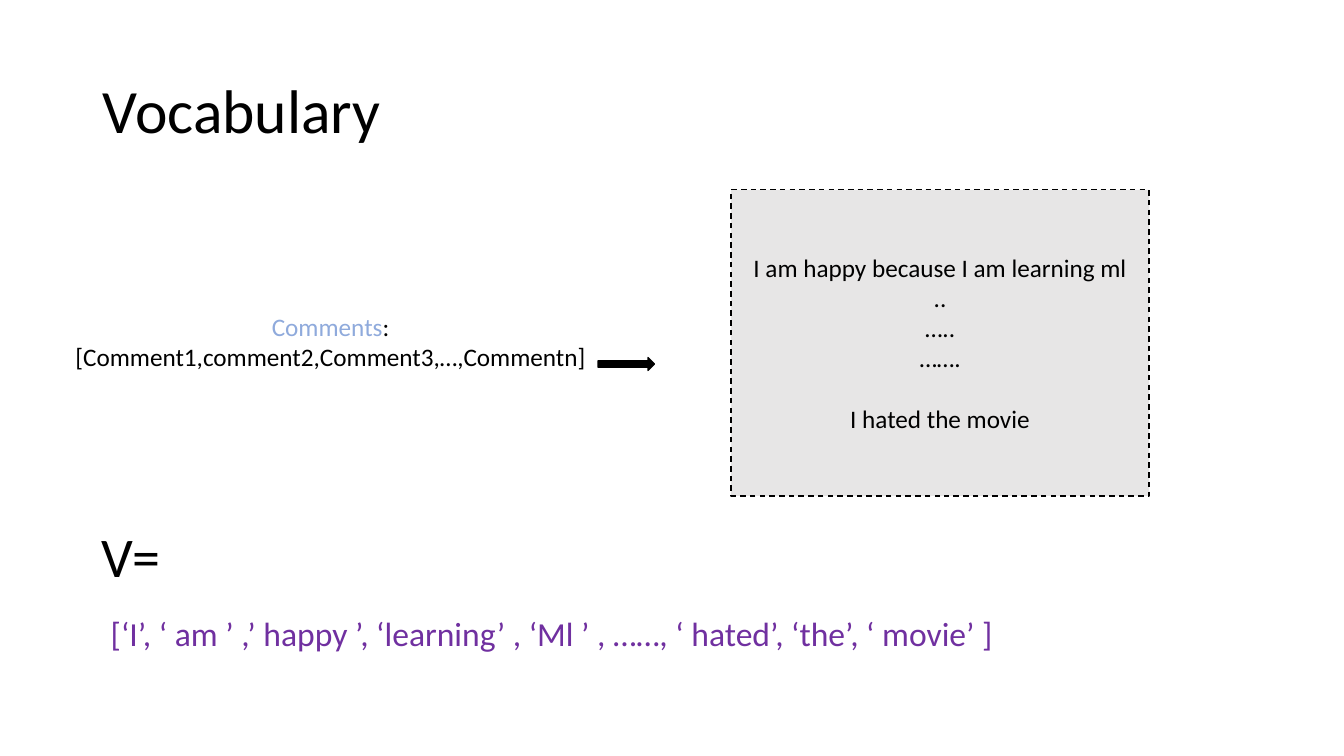
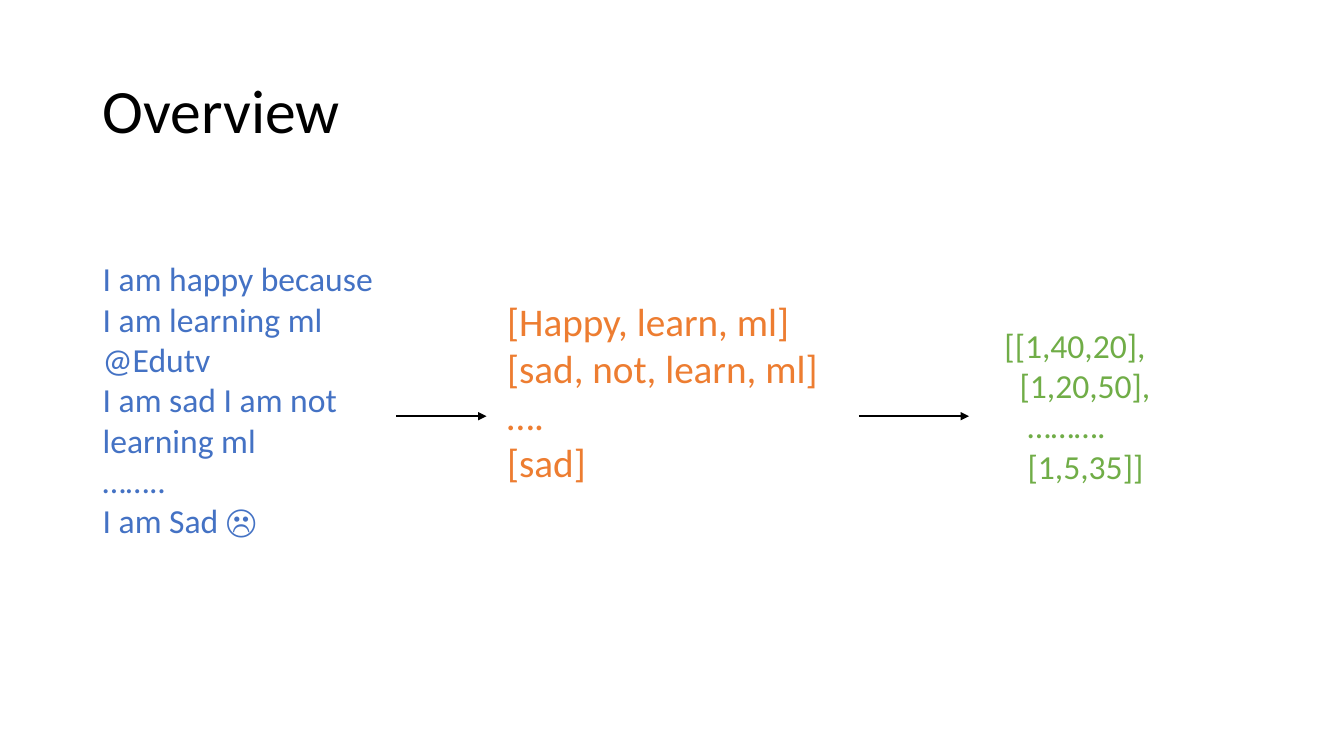
from dataclasses import dataclass

from lxml.etree import SubElement
from pptx import Presentation
from pptx.dml.color import RGBColor
from pptx.enum.dml import MSO_LINE
from pptx.enum.shapes import MSO_CONNECTOR, MSO_SHAPE
from pptx.enum.text import MSO_ANCHOR, MSO_AUTO_SIZE, PP_ALIGN
from pptx.oxml.ns import qn
from pptx.util import Inches, Pt

COLORS = {
    "ink": "000000", "panel": "E7E6E6", "label": "8FAADC", "vocabulary": "7030A0",
    "comments": "4472C4", "tokens": "ED7D31", "matrix": "70AD47",
}
FONT = "Calibri"
WIDTH, HEIGHT = Inches(13.333), Inches(7.5)


@dataclass(frozen=True)
class Box:
    """A rectangle in percent of the slide's width and height."""
    left: float
    top: float
    width: float
    height: float

    def lengths(self) -> tuple:
        return (across(self.left), down(self.top), across(self.width), down(self.height))


@dataclass(frozen=True)
class Line:
    """One paragraph: (text, colour) runs, left indent in inches, gap above in points."""
    runs: tuple
    indent: float = 0
    gap: float = 0


@dataclass(frozen=True)
class TextBlock:
    box: Box
    size: int
    lines: tuple
    centred: bool = False


def across(percent: float) -> int:
    return round(WIDTH * percent / 100)


def down(percent: float) -> int:
    return round(HEIGHT * percent / 100)


def rgb(name: str) -> RGBColor:
    return RGBColor.from_string(COLORS[name])


def plain(color: str, *texts: str) -> tuple:
    """Lines that each hold a single run of the same colour."""
    return tuple(Line(((text, color),)) for text in texts)


def write(frame, block: TextBlock) -> None:
    frame.word_wrap = True
    for index, line in enumerate(block.lines):
        paragraph = frame.paragraphs[0] if index == 0 else frame.add_paragraph()
        paragraph.alignment = PP_ALIGN.CENTER if block.centred else PP_ALIGN.LEFT
        if line.gap:
            paragraph.space_before = Pt(line.gap)
        if line.indent:
            paragraph._p.get_or_add_pPr().set("marL", str(Inches(line.indent)))
        for text, color in line.runs:
            run = paragraph.add_run()
            run.text = text
            run.font.name = FONT
            run.font.size = Pt(block.size)
            run.font.color.rgb = rgb(color)


def add_text(slide, block: TextBlock):
    shape = slide.shapes.add_textbox(*block.box.lengths())
    write(shape.text_frame, block)
    shape.text_frame.auto_size = MSO_AUTO_SIZE.SHAPE_TO_FIT_TEXT
    return shape


def add_filled(slide, preset, box: Box, fill: str):
    shape = slide.shapes.add_shape(preset, *box.lengths())
    shape.shadow.inherit = False
    shape.fill.solid()
    shape.fill.fore_color.rgb = rgb(fill)
    shape.line.color.rgb = rgb("ink")
    shape.line.width = Pt(1)
    return shape


def add_arrow(slide, start: float, end: float, level: float, source=None) -> None:
    connector = slide.shapes.add_connector(
        MSO_CONNECTOR.STRAIGHT, across(start), down(level), across(end), down(level))
    if source is not None:
        connector.begin_connect(source, 3)
    connector.line.color.rgb = rgb("ink")
    connector.line.width = Pt(1)
    SubElement(connector.line._get_or_add_ln(), qn("a:tailEnd"), type="triangle")
    SubElement(connector._element.spPr, qn("a:effectLst"))


def add_titled_slide(presentation, title: str):
    slide = presentation.slides.add_slide(presentation.slide_layouts[6])
    block = TextBlock(Box(6.9, 5.3, 86.3, 19.3), 44, plain("ink", title))
    frame = slide.shapes.add_textbox(*block.box.lengths()).text_frame
    write(frame, block)
    frame.vertical_anchor = MSO_ANCHOR.MIDDLE
    frame.paragraphs[0].line_spacing = 0.9
    return slide


def build_vocabulary(presentation) -> None:
    slide = add_titled_slide(presentation, "Vocabulary")

    # Comment list and block arrow
    add_text(slide, TextBlock(Box(2.3, 40.5, 44.6, 9.5), 18, (
        Line((("Comments", "label"), (":", "ink"))),
        *plain("ink", "[Comment1,comment2,Comment3,…,Commentn]")), centred=True))
    add_filled(slide, MSO_SHAPE.RIGHT_ARROW, Box(44.5, 47.3, 4.2, 1.7), "ink")

    # Dashed panel with the comments
    panel_box = Box(54.4, 25.1, 31.1, 40.5)
    panel = add_filled(slide, MSO_SHAPE.RECTANGLE, panel_box, "panel")
    panel.line.dash_style = MSO_LINE.DASH
    panel.text_frame.vertical_anchor = MSO_ANCHOR.MIDDLE
    write(panel.text_frame, TextBlock(panel_box, 18, (
        *plain("ink", "I am happy because I am learning ml", "..", "…..", "……."),
        Line((("I hated the movie", "ink"),), gap=22)), centred=True))

    # Resulting vocabulary
    add_text(slide, TextBlock(Box(5.5, 68.3, 8.5, 10.3), 40, plain("ink", "V="), centred=True))
    add_text(slide, TextBlock(Box(7.5, 80.4, 73.8, 6.7), 24, plain(
        "vocabulary",
        "[‘I’, ‘ am ’ ,’ happy ’, ‘learning’ , ‘Ml ’ , ……, ‘ hated’, ‘the’, ‘ movie’ ]")))


def build_overview(presentation) -> None:
    slide = add_titled_slide(presentation, "Overview")

    # Three stages: comments, tokens, feature matrix
    comments_box = Box(6.9, 33.5, 22.6, 43.1)
    comments = add_text(slide, TextBlock(comments_box, 24, plain(
        "comments", "I am happy because I am learning ml @Edutv",
        "I am sad I am not learning ml", "……..", "I am Sad ☹")))
    add_text(slide, TextBlock(Box(37, 38.7, 25, 26.5), 28, plain(
        "tokens", "[Happy, learn, ml]", "[sad, not, learn, ml]", "….", "[sad]")))
    matrix_rows = (("[[1,40,20],", 0), ("[1,20,50],", 0.15), ("……….", 0.23), ("[1,5,35]]", 0.23))
    add_text(slide, TextBlock(Box(74, 42.3, 12.8, 22.9), 24, tuple(
        Line(((text, "matrix"),), indent=indent) for text, indent in matrix_rows)))

    # Arrows level with the middle of the comments
    level = comments_box.top + comments_box.height / 2
    add_arrow(slide, comments_box.left + comments_box.width, 36.2, level, comments)
    add_arrow(slide, 63.9, 72.1, level)


def main() -> None:
    presentation = Presentation()
    presentation.slide_width, presentation.slide_height = WIDTH, HEIGHT
    build_vocabulary(presentation)
    build_overview(presentation)
    presentation.save("out.pptx")


if __name__ == "__main__":
    main()
